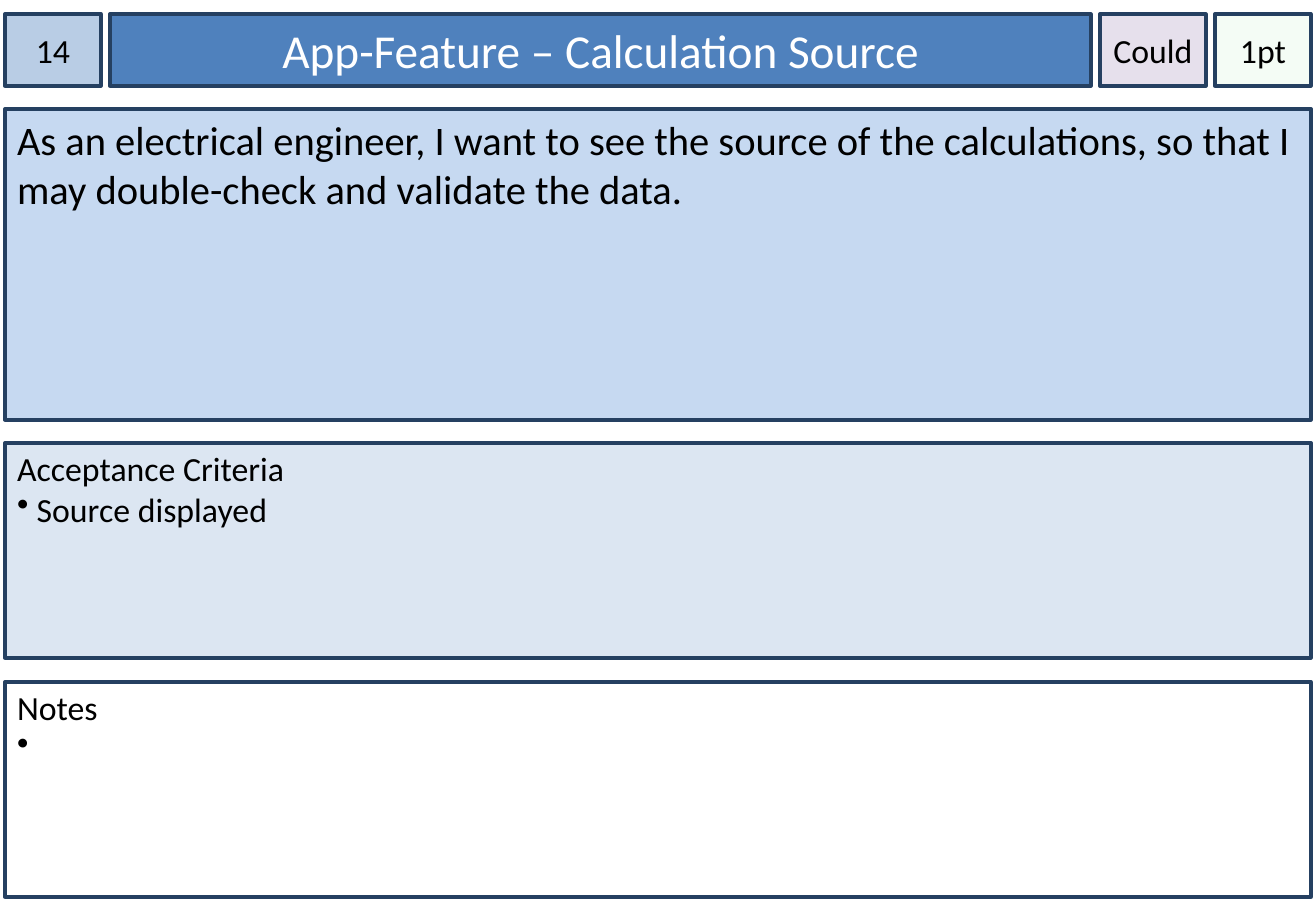
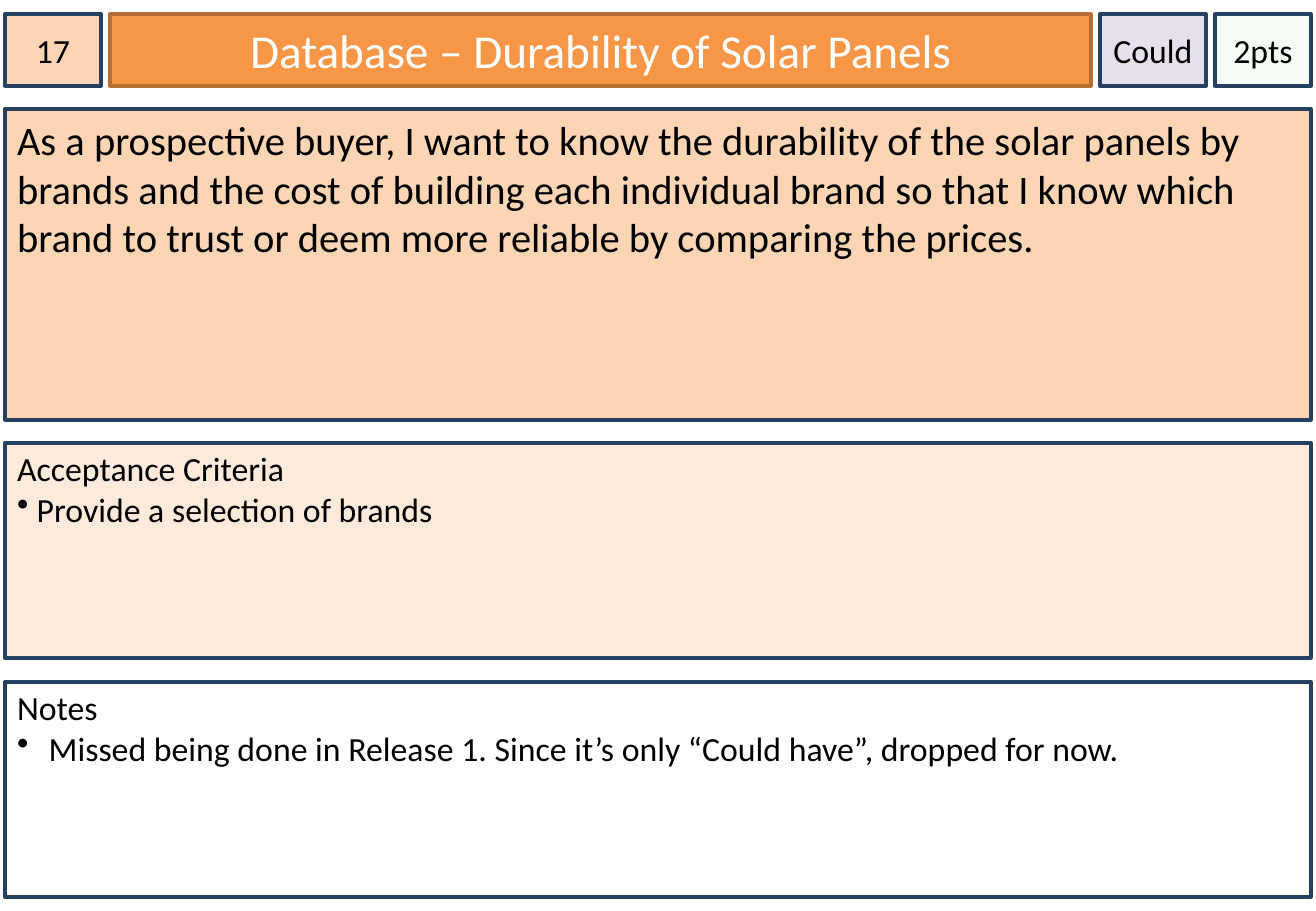
from lxml.etree import SubElement as Sub
from pptx import Presentation
from pptx.dml.color import RGBColor as RGB
from pptx.enum.shapes import MSO_SHAPE as Shape
from pptx.enum.text import MSO_ANCHOR as Anchor, PP_ALIGN as Align
from pptx.oxml.ns import qn
from pptx.util import Pt

PX = 7526  # EMU per pixel
FONT, INK, WHITE, NAVY = "Calibri", "000000", "FFFFFF", "254061"
LILAC, MINT = "E6E0EC", "CCF0CD"

# Shared layout: left, top, width, height
TOP, HIGH = 14, 72
LEFT, WIDE = 5, 1306
NUM = (LEFT, TOP, 96, HIGH)
TITLE = (110, TOP, 981, HIGH)
RANK = (1100, TOP, 106, HIGH)
POINTS = (1215, TOP, 96, HIGH)
STORY = (LEFT, 109, WIDE, 311)
TESTS = (LEFT, 443, WIDE, 215)
NOTES = (LEFT, 682, WIDE, 215)

# Text insets: left, top, right, bottom
TIGHT, PLAIN, LIST = (0, 6, 0, 6), (12, 6, 12, 6), (12, 5, 12, 6)

deck = Presentation()
deck.slide_width, deck.slide_height = 1316 * PX, 911 * PX


def color(code):
    return RGB.from_string(code)


def box(slide, place, fill, lines, size=20, ink=INK, edge=NAVY,
        inset=TIGHT, mid=True, hang=0):
    """Draw a framed box; every line after the first is a bullet."""
    rect = slide.shapes.add_shape(Shape.RECTANGLE, *[n * PX for n in place])
    rect.shadow.inherit = False
    rect.fill.solid()
    rect.fill.fore_color.rgb = color(fill)
    rect.line.color.rgb = color(edge)
    rect.line.width = Pt(2)
    frame = rect.text_frame
    frame.word_wrap = True
    frame.vertical_anchor = Anchor.MIDDLE if mid else Anchor.TOP
    (frame.margin_left, frame.margin_top,
     frame.margin_right, frame.margin_bottom) = [n * PX for n in inset]
    for i, line in enumerate(lines):
        para = frame.add_paragraph() if i else frame.paragraphs[0]
        para.alignment = Align.CENTER if mid else Align.LEFT
        run = para.add_run()
        run.text = line
        run.font.name, run.font.size = FONT, Pt(size)
        run.font.color.rgb = color(ink)
        if i:
            props = para._p.get_or_add_pPr()
            props.set("marL", str(hang * PX))
            props.set("indent", str(-hang * PX))
            Sub(props, qn("a:buChar")).set("char", "•")
    return rect


blue = dict(num="B9CDE5", band="4F81BD", edge=NAVY, story="C6D9F1", tests="DCE6F2")
orange = dict(num="FCD5B5", band="F79646", edge="B76F34", story="FCD5B5", tests="FDEADA")

cards = [
    (blue, "14", "App-Feature – Calculation Source", "1pt",
     "As an electrical engineer, I want to see the source of the calculations, "
     "so that I may double-check and validate the data.",
     " Source displayed", " "),
    (orange, "17", "Database – Durability of Solar Panels", "2pts",
     "As a prospective buyer, I want to know the durability of the solar panels "
     "by brands and the cost of building each individual brand so that I know "
     "which brand to trust or deem more reliable by comparing the prices.",
     " Provide a selection of brands",
     " Missed being done in Release 1. Since it’s only “Could have”, dropped for now."),
]

for hue, num, title, points, story, test, note in cards:
    slide = deck.slides.add_slide(deck.slide_layouts[6])

    # Header row
    box(slide, NUM, hue["num"], [num])
    box(slide, TITLE, hue["band"], [title], 28, WHITE, hue["edge"], PLAIN)

    # Story and acceptance criteria
    box(slide, STORY, hue["story"], [story], 24, inset=PLAIN, mid=False)
    box(slide, TESTS, hue["tests"], ["Acceptance Criteria", test],
        inset=LIST, mid=False)

    # Points, on a mint fill at 20% opacity, and priority
    pale = box(slide, POINTS, MINT, [points])
    tint = pale.fill._xPr.find(".//" + qn("a:srgbClr"))
    Sub(tint, qn("a:alpha")).set("val", "20000")
    box(slide, RANK, LILAC, ["Could"]).text_frame.word_wrap = False

    # Notes
    box(slide, NOTES, WHITE, ["Notes", note], inset=LIST, mid=False, hang=24)

deck.save("out.pptx")
